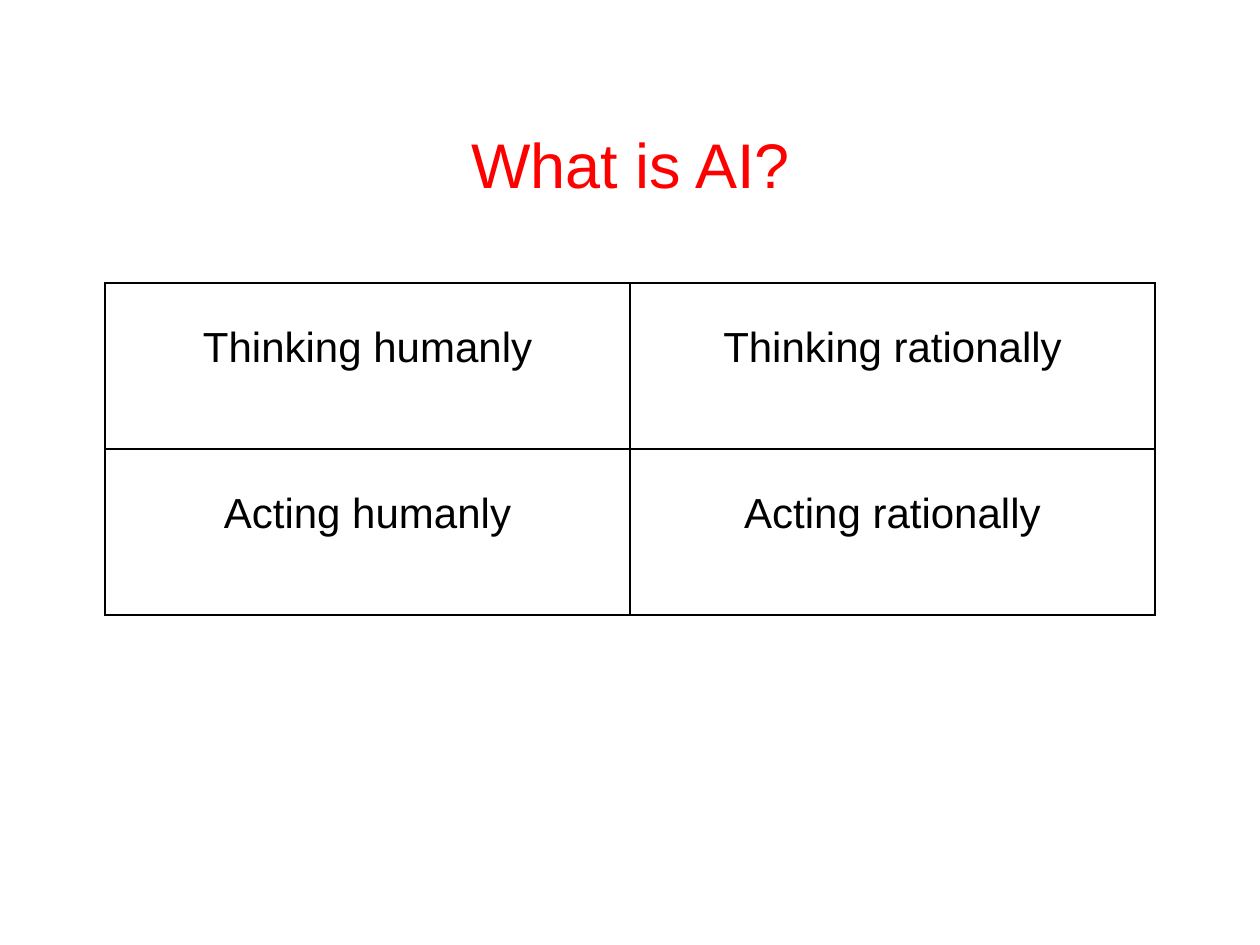
import dataclasses

import lxml.etree
import pptx
import pptx.dml.color
import pptx.enum.text
import pptx.oxml.ns
import pptx.util

TITLE = "What is AI?"
APPROACHES = [
    ["Thinking humanly", "Thinking rationally"],
    ["Acting humanly", "Acting rationally"],
]

SLIDE_SIZE = (1260, 945)
TITLE_BOX = (95, 84, 1071, 158)
TABLE_LEFT, TABLE_TOP = 105, 283
COLUMN_WIDTH, ROW_HEIGHT = 525, 166
CELL_TOP_MARGIN = 42


@dataclasses.dataclass(frozen=True)
class Theme:
    font: str = "Arial"
    title_color: str = "FF0000"
    text_color: str = "000000"
    border_color: str = "000000"
    title_size: int = 36
    cell_size: int = 24
    border_width: int = 1


THEME = Theme()


def px(length):
    """Turn pixels, 126 to the inch, into EMU."""
    return round(length * pptx.util.Inches(1) / 126)


def write_text(text_frame, text, size, color):
    paragraph = text_frame.paragraphs[0]
    paragraph.alignment = pptx.enum.text.PP_ALIGN.CENTER
    run = paragraph.add_run()
    run.text = text
    font_format = {"name": THEME.font, "size": pptx.util.Pt(size), "bold": False}
    for name, value in font_format.items():
        setattr(run.font, name, value)
    run.font.color.rgb = pptx.dml.color.RGBColor.from_string(color)


def add_borders(cell):
    properties = cell._tc.get_or_add_tcPr()
    qn = pptx.oxml.ns.qn
    for side in ("lnL", "lnR", "lnT", "lnB"):
        line = lxml.etree.SubElement(
            properties, qn(f"a:{side}"), w=str(pptx.util.Pt(THEME.border_width))
        )
        fill = lxml.etree.SubElement(line, qn("a:solidFill"))
        lxml.etree.SubElement(fill, qn("a:srgbClr"), val=THEME.border_color)


def add_title(slide):
    text_frame = slide.shapes.add_textbox(*map(px, TITLE_BOX)).text_frame
    text_frame.word_wrap = True
    text_frame.vertical_anchor = pptx.enum.text.MSO_ANCHOR.MIDDLE
    write_text(text_frame, TITLE, THEME.title_size, THEME.title_color)


def add_approaches(slide):
    row_count, column_count = len(APPROACHES), len(APPROACHES[0])
    table = slide.shapes.add_table(
        row_count, column_count, px(TABLE_LEFT), px(TABLE_TOP),
        px(column_count * COLUMN_WIDTH), px(row_count * ROW_HEIGHT),
    ).table
    table.first_row = table.horz_banding = False
    for row, labels in zip(table.rows, APPROACHES):
        row.height = px(ROW_HEIGHT)
        for cell, label in zip(row.cells, labels):
            cell.margin_top = px(CELL_TOP_MARGIN)
            add_borders(cell)
            cell.fill.background()
            write_text(cell.text_frame, label, THEME.cell_size, THEME.text_color)


def main():
    presentation = pptx.Presentation()
    presentation.slide_width, presentation.slide_height = map(px, SLIDE_SIZE)
    slide = presentation.slides.add_slide(presentation.slide_layouts[6])
    add_title(slide)
    add_approaches(slide)
    presentation.save("out.pptx")


if __name__ == "__main__":
    main()
